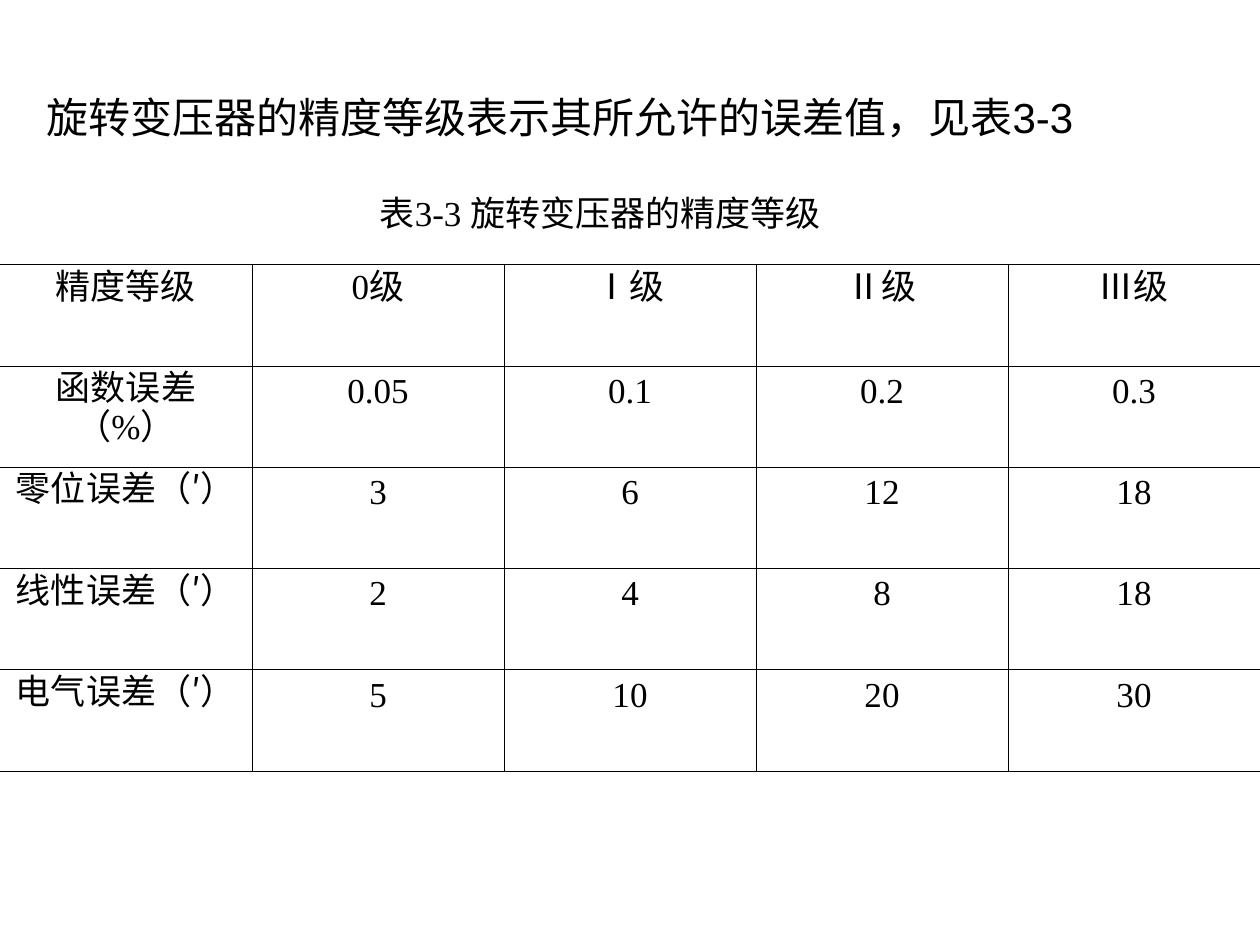
from dataclasses import dataclass

from pptx import Presentation
from pptx.dml.color import RGBColor
from pptx.enum.text import MSO_ANCHOR, MSO_AUTO_SIZE, PP_ALIGN
from pptx.oxml.ns import qn
from pptx.util import Inches, Pt
from lxml.etree import SubElement

COLORS = {"ink": "000000", "paper": "FFFFFF"}
WIDTH, HEIGHT = Inches(10), Inches(7.5)
BORDER = Pt(0.45)
ROWS = [
    ["精度等级", "0级", "Ⅰ级", "Ⅱ级", "Ⅲ级"],
    ["函数误差（%）", "0.05", "0.1", "0.2", "0.3"],
    ["零位误差（′）", "3", "6", "12", "18"],
    ["线性误差（′）", "2", "4", "8", "18"],
    ["电气误差（′）", "5", "10", "20", "30"],
]


@dataclass
class Area:
    left: float
    top: float
    width: float
    height: float

    def lengths(self) -> tuple[int, int, int, int]:
        return (round(self.left * WIDTH), round(self.top * HEIGHT),
                round(self.width * WIDTH), round(self.height * HEIGHT))


HEADING = Area(0.027, 0.09, 0.843, 0.067)
CAPTION = Area(0.285, 0.196, 0.383, 0.058)
GRID = Area(0, 0.28, 1, 0.536)


def write(frame, text: str, *, font: str = "Times New Roman", size: int = 20,
          align=PP_ALIGN.CENTER, spacing=None) -> None:
    para = frame.paragraphs[0]
    para.alignment = align
    para.line_spacing = spacing
    span = para.add_run()
    span.text = text
    span.font.name = font
    span.font.size = Pt(size)
    span.font.color.rgb = RGBColor.from_string(COLORS["ink"])


def set_borders(cell, sides: str) -> None:
    properties = cell._tc.get_or_add_tcPr()
    for side in "LRTB":
        line = SubElement(properties, qn(f"a:ln{side}"), w=str(BORDER))
        if side in sides:
            fill = SubElement(line, qn("a:solidFill"))
            SubElement(fill, qn("a:srgbClr"), val=COLORS["ink"])
        else:
            SubElement(line, qn("a:noFill"))


def add_heading(page, text: str) -> None:
    box = page.shapes.title
    box.left, box.top, box.width, box.height = HEADING.lengths()
    frame = box.text_frame
    frame.word_wrap = True
    frame.auto_size = MSO_AUTO_SIZE.SHAPE_TO_FIT_TEXT
    frame.vertical_anchor = MSO_ANCHOR.TOP
    write(frame, text, font="Arial", size=24, align=PP_ALIGN.LEFT)


def add_caption(page, text: str) -> None:
    frame = page.shapes.add_textbox(*CAPTION.lengths()).text_frame
    frame.word_wrap = False
    frame.auto_size = MSO_AUTO_SIZE.SHAPE_TO_FIT_TEXT
    frame.vertical_anchor = MSO_ANCHOR.MIDDLE
    write(frame, text)


def add_grid(page, rows: list[list[str]]) -> None:
    last = len(rows[0]) - 1
    table = page.shapes.add_table(len(rows), last + 1, *GRID.lengths()).table
    table.first_row = table.horz_banding = False
    for row_index, row in enumerate(rows):
        for column, text in enumerate(row):
            cell = table.cell(row_index, column)
            cell.margin_left = cell.margin_right = Inches(0.08)
            set_borders(cell, "TB" + "L" * (column > 0) + "R" * (column < last))
            cell.fill.background()
            write(cell.text_frame, text, spacing=Pt(22))


def main() -> None:
    deck = Presentation()
    deck.slide_width, deck.slide_height = WIDTH, HEIGHT
    page = deck.slides.add_slide(deck.slide_layouts[5])
    page.background.fill.solid()
    page.background.fill.fore_color.rgb = RGBColor.from_string(COLORS["paper"])
    add_heading(page, "旋转变压器的精度等级表示其所允许的误差值，见表3-3")
    add_grid(page, ROWS)
    add_caption(page, "表3-3 旋转变压器的精度等级")
    deck.save("out.pptx")


if __name__ == "__main__":
    main()
